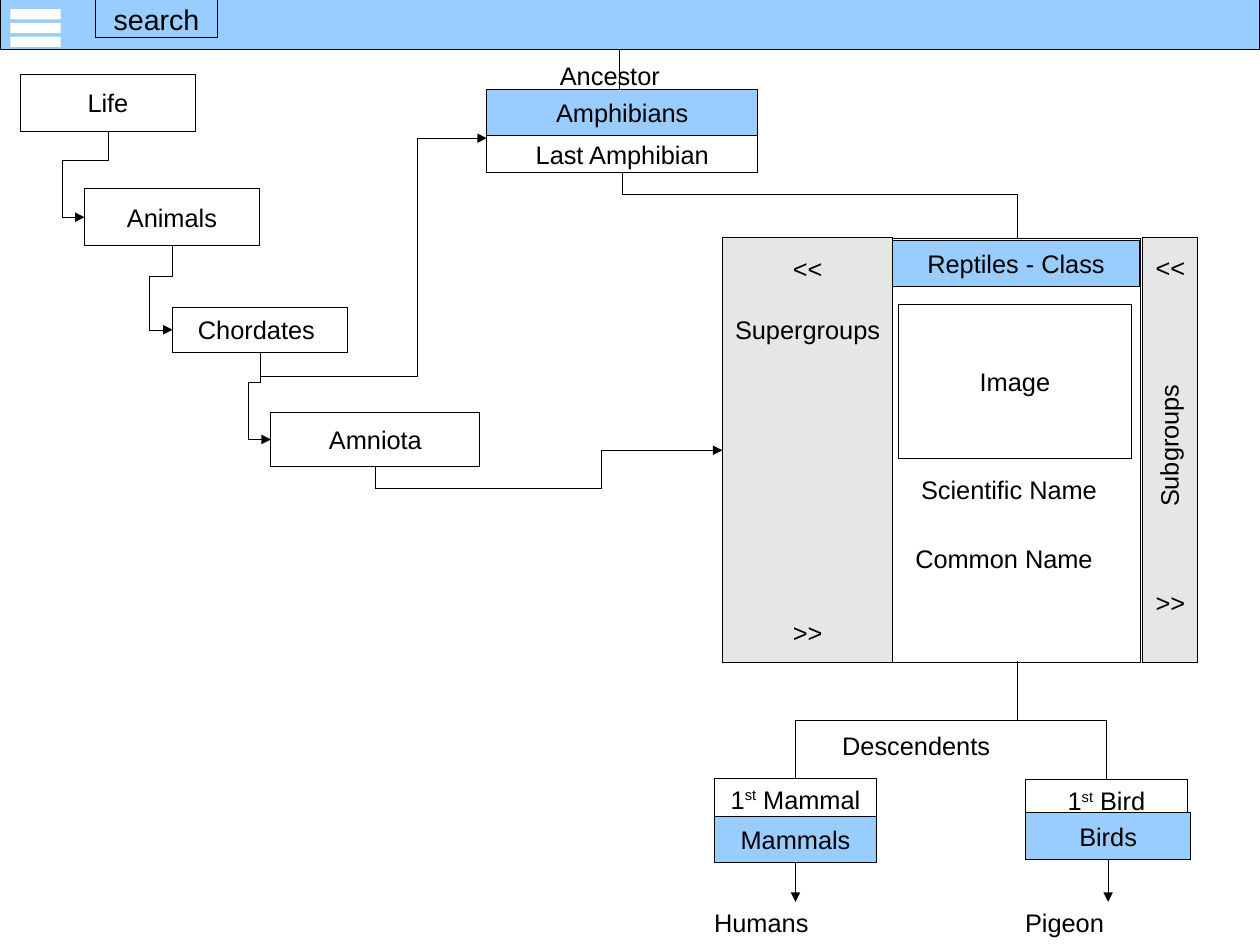
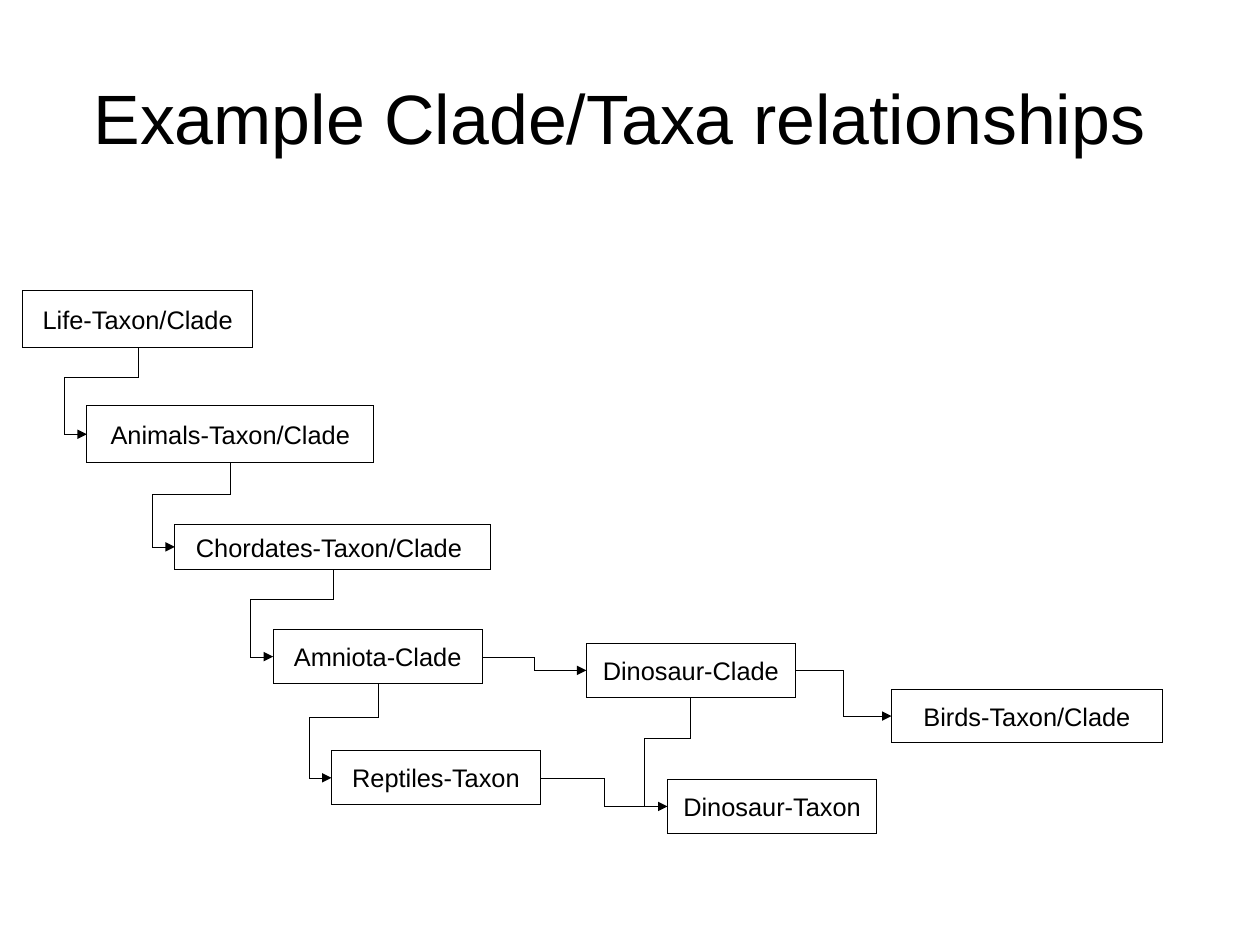
from lxml import etree
from pptx import Presentation
from pptx import util as u
from pptx.dml.color import RGBColor
from pptx.enum import shapes, text
from pptx.oxml.ns import qn

FONT = "Arial"
BLACK, WHITE, BLUE, GREY = "000000", "FFFFFF", "99CCFF", "E6E6E6"
SIZE = 16
CENTER, LEFT = text.PP_ALIGN.CENTER, text.PP_ALIGN.LEFT
TOP, MIDDLE, BOTTOM = (text.MSO_ANCHOR.TOP, text.MSO_ANCHOR.MIDDLE,
                       text.MSO_ANCHOR.BOTTOM)


def rgb(color):
    return RGBColor.from_string(color)


def inches(*values):
    return [u.Inches(v) for v in values]


def style_text(tf, size=SIZE, align=CENTER, anchor=MIDDLE, insets=(0.1, 0.05, 0.1, 0.05)):
    tf.word_wrap = True
    tf.vertical_anchor = anchor
    tf.margin_left, tf.margin_top, tf.margin_right, tf.margin_bottom = inches(*insets)
    for p in tf.paragraphs:
        p.alignment = align
        for r in p.runs:
            r.font.size = u.Pt(size)
            r.font.name = FONT
            r.font.color.rgb = rgb(BLACK)


def set_hairline(line, color):
    """Solid line of explicit zero width, which overrides the theme's width."""
    line.color.rgb = rgb(color)
    ln = line._get_or_add_ln()
    ln.set("w", "0")
    return ln


def add_box(slide, box, label="", fill=None, line=BLACK, **style):
    sp = slide.shapes.add_shape(shapes.MSO_SHAPE.RECTANGLE, *inches(*box))
    sp.shadow.inherit = False
    if fill:
        sp.fill.solid()
        sp.fill.fore_color.rgb = rgb(fill)
    else:
        sp.fill.background()
    if line:
        set_hairline(sp.line, line)
    else:
        sp.line.fill.background()
    if label:
        sp.text_frame.text = label
        style_text(sp.text_frame, **style)
    return sp


def add_label(slide, box, label, align=LEFT):
    tb = slide.shapes.add_textbox(*inches(*box))
    tb.text_frame.text = label
    style_text(tb.text_frame, align=align, anchor=TOP)
    return tb


def style_line(c, arrow):
    ln = set_hairline(c.line, BLACK)
    if arrow:
        etree.SubElement(ln, qn("a:tailEnd"), type="triangle")
    etree.SubElement(c._element.spPr, qn("a:effectLst"))


def add_line(slide, start, end, arrow=False):
    c = slide.shapes.add_connector(shapes.MSO_CONNECTOR.STRAIGHT, *inches(*start, *end))
    style_line(c, arrow)
    return c


def add_elbow(slide, left, top, width, height, bends, arrow):
    """Bent connector whose bends are fractions of its own width and height."""
    c = slide.shapes.add_connector(
        shapes.MSO_CONNECTOR.ELBOW, *inches(left, top, left + width, top + height))
    geom = c._element.spPr.find(qn("a:prstGeom"))
    geom.set("prst", f"bentConnector{len(bends) + 2}")
    guides = geom.find(qn("a:avLst"))
    if guides is None:
        guides = etree.SubElement(geom, qn("a:avLst"))
    for i, bend in enumerate(bends, 1):
        etree.SubElement(guides, qn("a:gd"), name=f"adj{i}",
                         fmla=f"val {round(bend * 100000)}")
    style_line(c, arrow)
    return c


def add_vertical_elbow(slide, start, end, drop, turn=None, arrow=True):
    """Leave start vertically, bend at height drop, then (if given) at x = turn."""
    (x0, y0), (x1, y1) = start, end
    dx, dy = x1 - x0, y1 - y0
    bends = [(drop - y0) / dy]
    if turn is not None:
        bends.append((turn - x0) / dx)
    width, height = abs(dy), abs(dx)
    c = add_elbow(slide, (x0 + x1 - width) / 2, (y0 + y1 - height) / 2,
                  width, height, bends, arrow)
    quarter_turns = 3 if dx * dy > 0 else 1
    xfrm = c._element.spPr.find(qn("a:xfrm"))
    xfrm.set("rot", str(quarter_turns * 5400000))
    xfrm.set("flipH", str(int((dy > 0) == (quarter_turns == 3))))
    xfrm.set("flipV", str(int((dx > 0) == (quarter_turns == 1))))


def bottom_of(box):
    left, top, width, height = box
    return left + width / 2, top + height


def left_of(box):
    return box[0], box[1] + box[3] / 2


def right_of(box):
    return box[0] + box[2], box[1] + box[3] / 2


def add_step(slide, parent, child, arrow=True):
    """Connect a parent's bottom to the left side of a lower child."""
    start = bottom_of(parent)
    add_vertical_elbow(slide, start, left_of(child), (start[1] + child[1]) / 2,
                       child[0] - 0.2, arrow)


def add_side_step(slide, parent, child):
    (x0, y0), (x1, y1) = right_of(parent), left_of(child)
    add_elbow(slide, x0, y0, x1 - x0, y1 - y0, [0.5], True)


def add_cascade(slide, steps):
    for label, box in steps:
        add_box(slide, box, label)
    boxes = [box for _, box in steps]
    for parent, child in zip(boxes, boxes[1:]):
        add_step(slide, parent, child)


def add_nav_bar(slide, box):
    left, top, _, height = box
    add_box(slide, box, fill=BLUE)
    add_box(slide, (left + 0.84, top, 1.06, height - 0.1), "search", BLUE, size=18)
    for i in range(3):
        add_box(slide, (left + 0.09, top + 0.08 + i * 0.12, 0.44, 0.09),
                fill=WHITE, line=None)


def add_ancestor(slide, box):
    left, top, width, height = box
    add_box(slide, (left, top + 0.14, width, height - 0.14), "Last Amphibian", WHITE,
            anchor=BOTTOM, insets=(0.1, 0.05, 0.1, 0.03))
    add_box(slide, (left, top, width, 0.41), "Amphibians", BLUE)


def add_pager(slide, box, lines, gaps, bottom_inset=0.05):
    sp = add_box(slide, box, "\n".join(lines), GREY,
                 insets=(0.1, 0.05, 0.1, bottom_inset))
    for p, gap in zip(sp.text_frame.paragraphs[1:], gaps):
        p.space_before = u.Pt(gap)


def add_class_card(slide, box):
    left, top, width, height = box
    side, strip = 1.49, 0.48
    x = left + side
    add_box(slide, (x, top + 0.01, width - side - strip - 0.02, height - 0.01), fill=WHITE)
    add_box(slide, (x, top + 0.02, 2.16, 0.41), "Reptiles - Class", BLUE)
    add_pager(slide, (left + width - strip, top, strip, height), ["<<", ">>"],
              [192], 0.32)
    sub = add_label(slide, (x + 1.61, top + 1.63, 1.62, 0.38), "Subgroups", CENTER)
    sub.rotation = 269.8
    add_pager(slide, (left, top, side, height), ["<<", "Supergroups", ">>"], [19.5, 172])
    add_box(slide, (x + 0.05, top + 0.58, 2.04, 1.35), "Image")
    add_label(slide, (x + 0.15, top + 2.02, 1.93, 0.38), "Scientific Name")
    add_label(slide, (x + 0.1, top + 2.62, 1.93, 0.38), "Common Name")


def add_descendant(slide, box, first, group, group_box, example):
    sp = add_box(slide, box, fill=WHITE)
    p = sp.text_frame.paragraphs[0]
    for part in ("1", "st", f" {first}"):
        p.add_run().text = part
    style_text(sp.text_frame, anchor=TOP, insets=(0.1, 0.05, 0.1, 0.05))
    p.runs[1]._r.get_or_add_rPr().set("baseline", "33000")
    group_sp = add_box(slide, group_box, group, BLUE)
    x, y = bottom_of(group_box)
    add_line(slide, (x, y), (x, 7.89), arrow=True).begin_connect(group_sp, 2)
    add_label(slide, (box[0] - 0.1, 7.89, 1.67, 0.35), example)


def build_browser(prs):
    slide = prs.slides.add_slide(prs.slide_layouts[6])
    ancestor, card = (4.26, 0.78, 2.37, 0.73), (6.32, 2.08, 4.16, 3.72)
    chordates, amniota = (1.51, 2.69, 1.53, 0.39), (2.37, 3.61, 1.83, 0.47)
    mammal, bird = (6.25, 6.81, 1.42, 0.66), (8.97, 6.82, 1.42, 0.61)
    card_x = 8.9

    add_nav_bar(slide, (0, 0, 11.02, 0.43))
    add_line(slide, (5.42, 0.78), (5.42, 0.43))
    add_label(slide, (4.8, 0.48, 1.49, 0.35), "Ancestor")
    add_ancestor(slide, ancestor)
    add_class_card(slide, card)
    add_vertical_elbow(slide, (card_x, 2.09), bottom_of(ancestor), 1.7, arrow=False)

    add_cascade(slide, [("Life", (0.18, 0.65, 1.53, 0.5)),
                        ("Animals", (0.74, 1.65, 1.53, 0.5)),
                        ("Chordates ", chordates),
                        ("Amniota", amniota)])
    add_vertical_elbow(slide, bottom_of(amniota), left_of(card), 4.27, 5.26)
    add_vertical_elbow(slide, bottom_of(chordates), (4.26, 1.21), 3.29, 3.65)

    add_label(slide, (7.27, 6.34, 1.78, 0.35), "Descendents")
    for box in (mammal, bird):
        end = (box[0] + box[2] / 2, box[1])
        add_vertical_elbow(slide, (card_x, 5.79), end, (5.79 + end[1]) / 2, arrow=False)
    add_descendant(slide, mammal, "Mammal", "Mammals", (6.25, 7.14, 1.42, 0.41), "Humans")
    add_descendant(slide, bird, "Bird", "Birds", (8.97, 7.11, 1.45, 0.41), "Pigeon")


def build_relationships(prs):
    slide = prs.slides.add_slide(prs.slide_layouts[5])
    title = slide.shapes.title
    title.left, title.top, title.width, title.height = inches(0.55, 0.33, 9.92, 1.38)
    title.text_frame.text = "Example Clade/Taxa relationships "
    style_text(title.text_frame, size=44, insets=(0, 0, 0, 0))

    amniota, reptiles = (2.39, 5.51, 1.83, 0.47), (2.9, 6.57, 1.83, 0.47)
    dino_clade, dino_taxon = (5.13, 5.63, 1.83, 0.47), (5.84, 6.82, 1.83, 0.47)
    birds = (7.8, 6.03, 2.37, 0.47)
    add_cascade(slide, [("Life-Taxon/Clade", (0.2, 2.54, 2.01, 0.5)),
                        ("Animals-Taxon/Clade", (0.76, 3.55, 2.51, 0.5)),
                        ("Chordates-Taxon/Clade ", (1.53, 4.59, 2.76, 0.39)),
                        ("Amniota-Clade", amniota),
                        ("Reptiles-Taxon", reptiles)])
    add_box(slide, dino_clade, "Dinosaur-Clade")
    add_box(slide, dino_taxon, "Dinosaur-Taxon")
    add_box(slide, birds, "Birds-Taxon/Clade")
    for parent, child in ((amniota, dino_clade), (reptiles, dino_taxon),
                          (dino_clade, birds)):
        add_side_step(slide, parent, child)
    add_step(slide, dino_clade, dino_taxon, arrow=False)


def main():
    prs = Presentation()
    prs.slide_width, prs.slide_height = u.Cm(28), u.Cm(21)
    prs.element.sldSz.attrib.pop("type", None)
    build_browser(prs)
    build_relationships(prs)
    prs.save("out.pptx")


if __name__ == "__main__":
    main()
